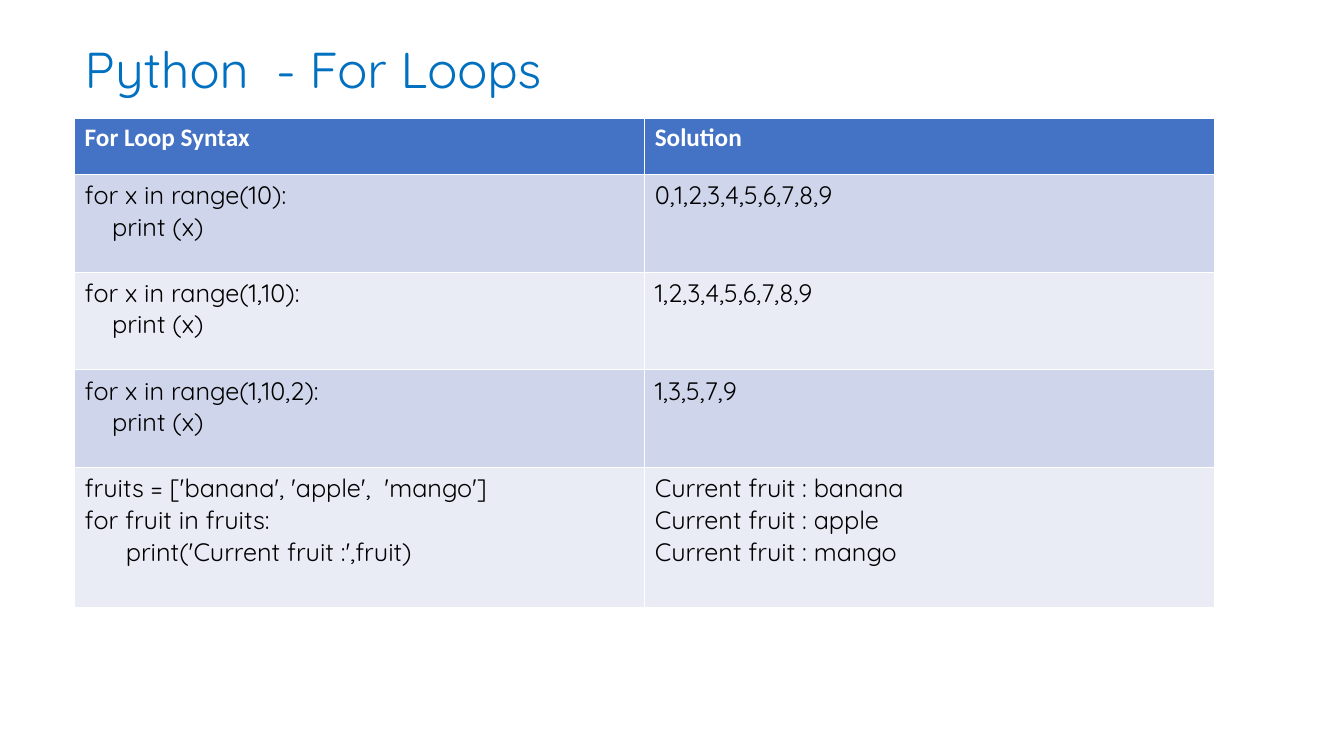
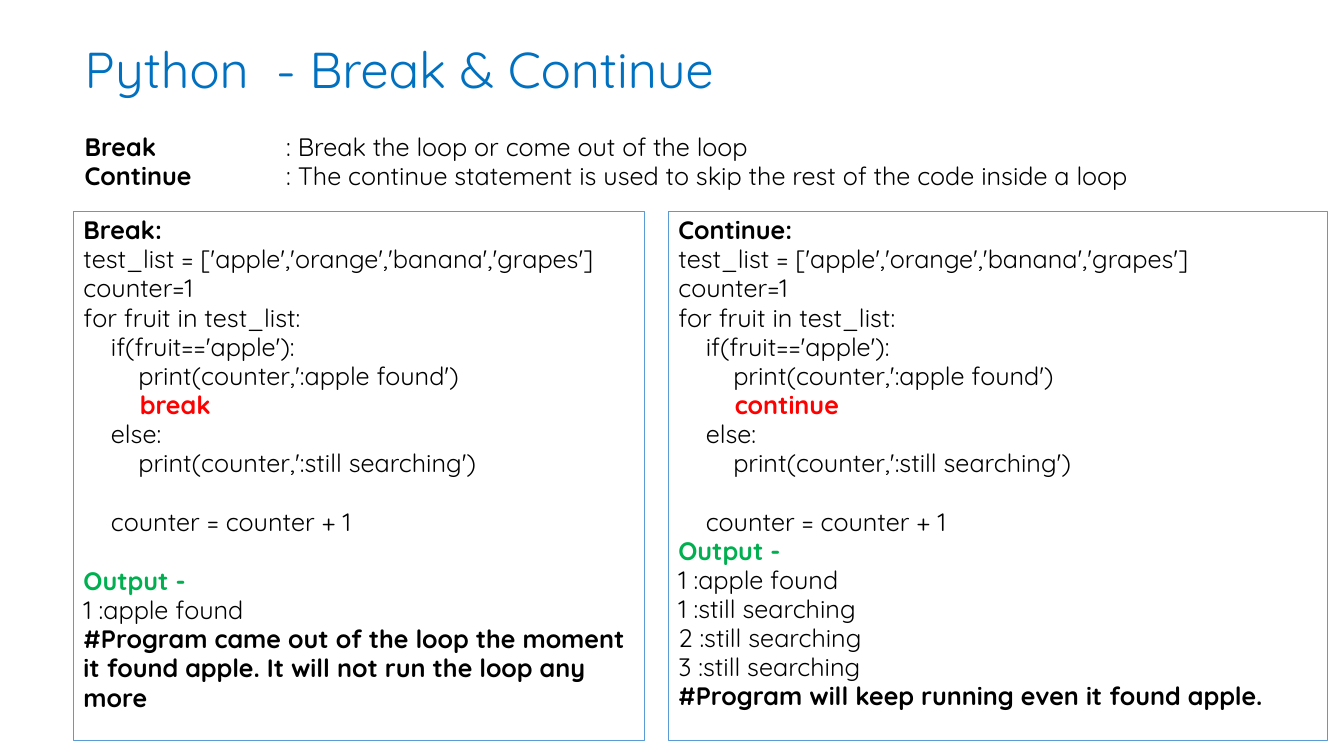
from lxml.etree import SubElement
from pptx import Presentation
from pptx.dml.color import RGBColor
from pptx.enum.shapes import MSO_SHAPE
from pptx.enum.text import MSO_ANCHOR, MSO_AUTO_SIZE, PP_ALIGN
from pptx.oxml.ns import qn
from pptx.util import Inches, Pt

COLORS = {
    "title": "0070C0", "text": "000000", "header_text": "FFFFFF",
    "header": "4472C4", "band_dark": "CFD5EA", "band_light": "E9EBF5",
    "outline": "5B9BD5", "keyword": "FF0000", "output": "00B050",
}
BODY_FONT = "Quicksand"
HEADER_FONT = "Calibri"
BODY_SIZE = 18
LINE_SPACING = 0.96
BLANK_LINE = Pt(21.6)

# Line style: colour name, bold
STYLES = {
    "code": ("text", False), "strong": ("text", True),
    "keyword": ("keyword", True), "output": ("output", True),
}

LOOP_ROWS = [
    ("for x in range(10):\n    print (x)", "0,1,2,3,4,5,6,7,8,9"),
    ("for x in range(1,10):\n    print (x)", "1,2,3,4,5,6,7,8,9"),
    ("for x in range(1,10,2):\n    print (x)", "1,3,5,7,9"),
    ("fruits = ['banana', 'apple',  'mango']\nfor fruit in fruits:\n"
     "      print('Current fruit :',fruit)",
     "Current fruit : banana\nCurrent fruit : apple\nCurrent fruit : mango"),
]
ROW_HEIGHTS = [0.56, 0.97, 0.97, 0.97, 1.39]

DEFINITIONS = [
    ("Break", "Break the loop or come out of the loop"),
    ("Continue", "The continue statement is used to skip the rest of the code inside a loop"),
]


def rgb(name):
    return RGBColor.from_string(COLORS[name])


def format_run(run, color="text", bold=False, size=BODY_SIZE, font=BODY_FONT):
    run.font.name = font
    run.font.size = Pt(size)
    run.font.bold = bold
    run.font.color.rgb = rgb(color)


def add_title_slide(presentation, title_text):
    slide = presentation.slides.add_slide(presentation.slide_layouts[5])
    title = slide.shapes.title
    title.left, title.top = Inches(0.74), Inches(0.33)
    title.width, title.height = Inches(11.31), Inches(0.71)
    text_frame = title.text_frame
    text_frame.text = title_text
    text_frame.auto_size = MSO_AUTO_SIZE.NONE
    text_frame.vertical_anchor = MSO_ANCHOR.TOP
    paragraph = text_frame.paragraphs[0]
    paragraph.alignment = PP_ALIGN.LEFT
    format_run(paragraph.runs[0], "title", size=36)
    return slide


def fill_cell(cell, text, fill, **run_format):
    cell.fill.solid()
    cell.fill.fore_color.rgb = rgb(fill)
    cell.text_frame.text = text
    for paragraph in cell.text_frame.paragraphs:
        for run in paragraph.runs:
            format_run(run, **run_format)


def add_loop_table(slide, left, top, width):
    table = slide.shapes.add_table(
        len(ROW_HEIGHTS), 2, Inches(left), Inches(top),
        Inches(width), Inches(sum(ROW_HEIGHTS))).table
    for row, height in zip(table.rows, ROW_HEIGHTS):
        row.height = Inches(height)
    for column, heading in enumerate(("For Loop Syntax", "Solution")):
        fill_cell(table.cell(0, column), heading, "header",
                  color="header_text", bold=True, font=HEADER_FONT)
    for row_index, texts in enumerate(LOOP_ROWS, start=1):
        band = "band_dark" if row_index % 2 else "band_light"
        for column, text in enumerate(texts):
            fill_cell(table.cell(row_index, column), text, band)


def add_definitions(slide, left, top, width, height):
    box = slide.shapes.add_textbox(Inches(left), Inches(top), Inches(width), Inches(height))
    text_frame = box.text_frame
    text_frame.word_wrap = True
    text_frame.text = "\n".join(term for term, _ in DEFINITIONS)
    for paragraph, (_, meaning) in zip(text_frame.paragraphs, DEFINITIONS):
        tab_list = SubElement(paragraph._p.get_or_add_pPr(), qn("a:tabLst"))
        SubElement(tab_list, qn("a:tab"), pos=str(Inches(2)), algn="l")
        paragraph.line_spacing = LINE_SPACING
        format_run(paragraph.runs[0], bold=True)
        meaning_run = paragraph.add_run()
        meaning_run.text = f"\t: {meaning}"
        format_run(meaning_run)


def search_lines(keyword, results, remark, gap_before_output):
    """Return (text, style, blank line before) for the fruit search program."""
    return [
        (f"{keyword.capitalize()}:", "strong", False),
        ("test_list = ['apple','orange','banana','grapes']", "code", False),
        ("counter=1", "code", False),
        ("for fruit in test_list:", "code", False),
        ("    if(fruit=='apple'):", "code", False),
        ("        print(counter,':apple found')", "code", False),
        (f"        {keyword}", "keyword", False),
        ("    else:", "code", False),
        ("        print(counter,':still searching')", "code", False),
        ("    counter = counter + 1", "code", True),
        ("Output -", "output", gap_before_output),
        *((result, "code", False) for result in results),
        (remark, "strong", False),
    ]


def add_code_panel(slide, left, top, width, height, lines):
    panel = slide.shapes.add_shape(
        MSO_SHAPE.RECTANGLE, Inches(left), Inches(top), Inches(width), Inches(height))
    panel.shadow.inherit = False
    panel.fill.background()
    panel.line.color.rgb = rgb("outline")
    panel.line.width = Pt(0.75)
    text_frame = panel.text_frame
    text_frame.word_wrap = True
    text_frame.vertical_anchor = MSO_ANCHOR.TOP
    text_frame.text = "\n".join(text for text, _, _ in lines)
    for paragraph, (_, style, gap_before) in zip(text_frame.paragraphs, lines):
        paragraph.alignment = PP_ALIGN.LEFT
        paragraph.line_spacing = LINE_SPACING
        if gap_before:
            paragraph.space_before = BLANK_LINE
        format_run(paragraph.runs[0], *STYLES[style])


def main():
    presentation = Presentation()
    presentation.slide_width, presentation.slide_height = Inches(13.33), Inches(7.5)

    loops = add_title_slide(presentation, "Python  - For Loops")
    add_loop_table(loops, 0.74, 1.17, 11.31)

    jumps = add_title_slide(presentation, "Python  - Break & Continue")
    add_definitions(jumps, 0.74, 1.27, 11.78, 1.01)
    add_code_panel(jumps, 0.73, 2.1, 5.66, 5.25, search_lines(
        "break", ["1 :apple found"],
        "#Program came out of the loop the moment it found apple. "
        "It will not run the loop any more", True))
    add_code_panel(jumps, 6.63, 2.1, 6.54, 5.25, search_lines(
        "continue",
        ["1 :apple found", *(f"{count} :still searching" for count in range(1, 4))],
        "#Program will keep running even it found apple.", False))

    presentation.save("out.pptx")


if __name__ == "__main__":
    main()
